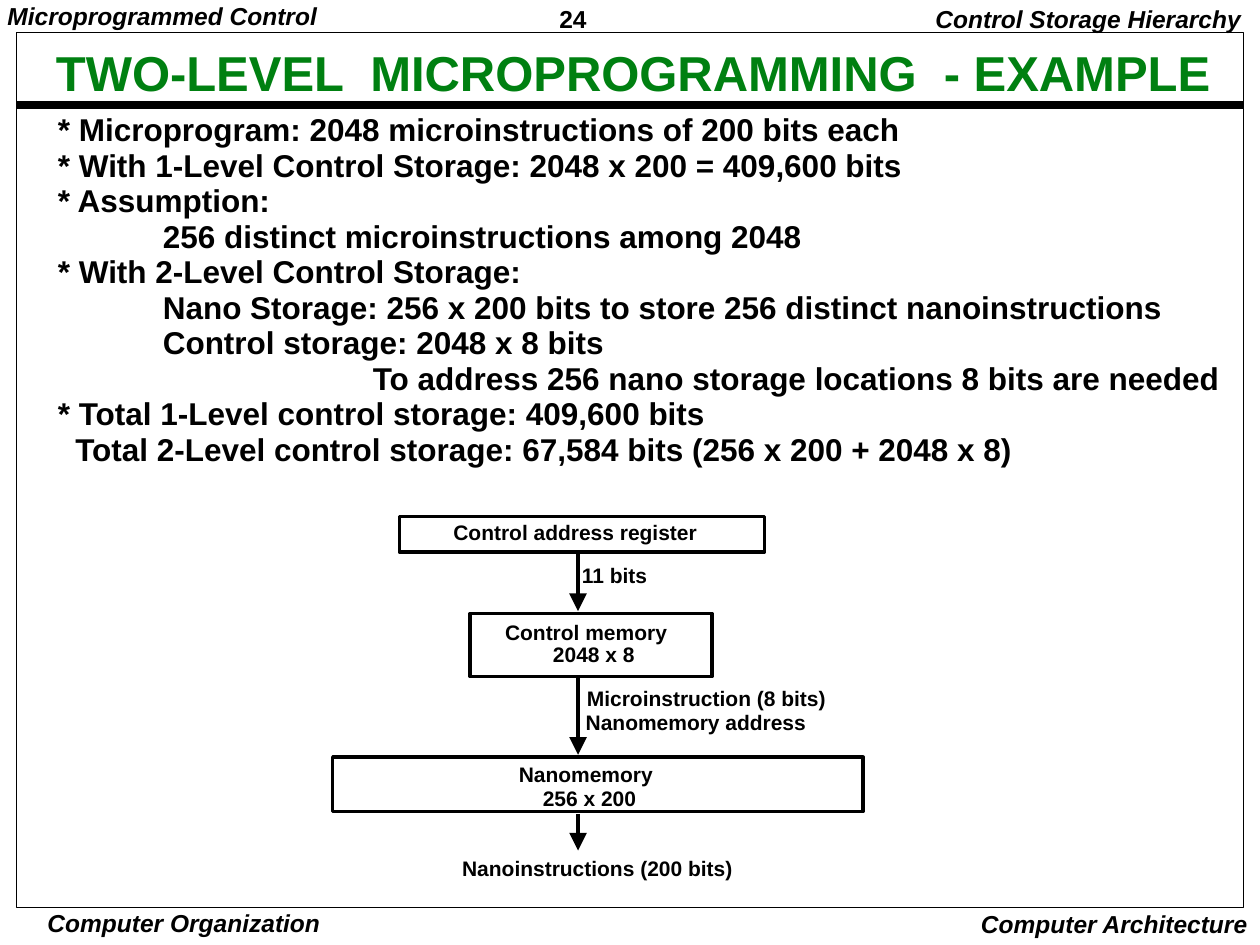
"""Build the two-level microprogramming example slide."""
from dataclasses import dataclass

import lxml.etree
import pptx
import pptx.dml.color
import pptx.enum.shapes
import pptx.enum.text
import pptx.oxml.ns
import pptx.shapes.connector
import pptx.slide
import pptx.text.text
import pptx.util

Pt = pptx.util.Pt
Align = pptx.enum.text.PP_ALIGN
Anchor = pptx.enum.text.MSO_ANCHOR


@dataclass(frozen=True)
class Theme:
    font: str = "Arial"
    ink: str = "000000"
    green: str = "008011"
    title: float = 28
    body: float = 18
    edge: float = 14
    label: float = 12
    rule: float = 4.5
    line: float = 2
    frame: float = 0.5
    pitch: float = 0.94


@dataclass(frozen=True)
class Box:
    left: float
    top: float
    width: float
    height: float


@dataclass(frozen=True)
class Label:
    text: str
    box: Box


@dataclass(frozen=True)
class Edge:
    text: str
    box: Box
    align: Align = Align.LEFT
    italic: bool = True
    pitch: float = 1.0
    inset: tuple[float, float] = (7.2, 3.6)


@dataclass(frozen=True)
class Arrow:
    top: float
    tip: float


THEME = Theme()
AXIS = 330.3
FRAME = Box(9.3, 18.8, 701.3, 499.6)
RULE = 59.8
TITLE = Label("TWO-LEVEL  MICROPROGRAMMING  - EXAMPLE", Box(21.6, 27.4, 680.4, 31))
BODY = Box(28.1, 62.6, 676.8, 198.7)
TAB = 60
POINTS = [
    ("* Microprogram: 2048 microinstructions of 200 bits each", 0),
    ("* With 1-Level Control Storage: 2048 x 200 = 409,600 bits", 0),
    ("* Assumption:", 0),
    ("256 distinct microinstructions among 2048", TAB),
    ("* With 2-Level Control Storage:", 0),
    ("Nano Storage: 256 x 200 bits to store 256 distinct nanoinstructions", TAB),
    ("Control storage: 2048 x 8 bits", TAB),
    ("To address 256 nano storage locations 8 bits are needed", 3 * TAB),
    ("* Total 1-Level control storage: 409,600 bits", 0),
    ("Total 2-Level control storage: 67,584 bits (256 x 200 + 2048 x 8)", 10),
]
EDGES = [
    Edge("Microprogrammed Control", Box(0, 0, 187.2, 19.4),
         pitch=THEME.pitch, inset=(4.3, 2.2)),
    Edge("24", Box(314.6, 0, 77.8, 20.9), italic=False, pitch=1.01, inset=(5, 2.2)),
    Edge("Control Storage Hierarchy", Box(527.8, 0, 188.6, 22.3),
         Align.RIGHT, pitch=THEME.pitch),
    Edge("Computer Organization", Box(25.2, 518.4, 159.8, 18.7),
         Align.CENTER, inset=(2.2, 0.7)),
    Edge("Computer Architecture", Box(553, 516.2, 167, 23.8), Align.RIGHT),
]
BLOCKS = [
    Box(228.2, 295.2, 208.8, 20.2),
    Box(268.6, 350.6, 138.2, 36),
    Box(190.1, 432.7, 303.1, 31),
]
ARROWS = [Arrow(315.4, 349.2), Arrow(386.6, 431.3), Arrow(465.1, 486)]
LABELS = [
    Label("Control address register", Box(252, 294.5, 153.4, 20.2)),
    Label("11 bits", Box(325.4, 319, 52.6, 20.2)),
    Label("Control memory", Box(281.5, 351.4, 107.3, 20.2)),
    Label("2048 x 8", Box(308.9, 364.3, 61.2, 20.2)),
    Label("Microinstruction (8 bits)", Box(328.3, 389.5, 151.2, 20.2)),
    Label("Nanomemory address", Box(327.6, 403.2, 140.4, 20.2)),
    Label("Nanomemory", Box(289.4, 432.7, 90.7, 20.2)),
    Label("256 x 200", Box(303.1, 446.4, 67.7, 20.2)),
    Label("Nanoinstructions (200 bits)", Box(257, 486.7, 169.2, 20.2)),
]


def area(box: Box) -> tuple[int, ...]:
    """Give the box as four lengths."""
    return tuple(Pt(n) for n in (box.left, box.top, box.width, box.height))


def color(code: str) -> pptx.dml.color.RGBColor:
    """Turn a hex code into a colour."""
    return pptx.dml.color.RGBColor.from_string(code)


def write(frame: pptx.text.text.TextFrame, lines: list[tuple[str, float]], *,
          size: float, ink: str = THEME.ink, italic: bool = False,
          align: Align = Align.LEFT, pitch: float = THEME.pitch,
          inset: tuple[float, float] = (7.2, 3.6), wrap: bool = False,
          anchor: Anchor = Anchor.TOP) -> None:
    """Fill a text frame with formatted, indented lines."""
    frame.auto_size = pptx.enum.text.MSO_AUTO_SIZE.NONE
    frame.word_wrap = wrap
    frame.vertical_anchor = anchor
    frame.margin_left = frame.margin_right = Pt(inset[0])
    frame.margin_top = frame.margin_bottom = Pt(inset[1])
    for num, (text, indent) in enumerate(lines):
        para = frame.add_paragraph() if num else frame.paragraphs[0]
        para.alignment = align
        para.line_spacing = pitch
        para.space_before = para.space_after = Pt(0)
        if indent:
            para._p.get_or_add_pPr().set("marL", str(Pt(indent)))
        run = para.add_run()
        run.text = text
        font = run.font
        font.name, font.size = THEME.font, Pt(size)
        font.bold, font.italic = True, italic
        font.color.rgb = color(ink)


def rect(slide: pptx.slide.Slide, box: Box, weight: float) -> None:
    """Draw an unfilled rectangle."""
    kind = pptx.enum.shapes.MSO_SHAPE.RECTANGLE
    shape = slide.shapes.add_shape(kind, *area(box))
    shape.shadow.inherit = False
    shape.fill.background()
    shape.line.color.rgb = color(THEME.ink)
    shape.line.width = Pt(weight)


def line(slide: pptx.slide.Slide, start: tuple[float, float],
         end: tuple[float, float], weight: float, head: bool = False) -> None:
    """Draw a straight line, with a head at its end if asked."""
    kind = pptx.enum.shapes.MSO_CONNECTOR.STRAIGHT
    link = slide.shapes.add_connector(kind, *(Pt(n) for n in start + end))
    link.line.color.rgb = color(THEME.ink)
    link.line.width = Pt(weight)
    name = pptx.oxml.ns.qn
    if head:
        lxml.etree.SubElement(link.line._get_or_add_ln(), name("a:tailEnd"),
                              type="triangle", w="lg", len="lg")
    lxml.etree.SubElement(link._element.spPr, name("a:effectLst"))


def main() -> None:
    """Draw and save the slide."""
    deck = pptx.Presentation()
    deck.slide_width, deck.slide_height = Pt(720), Pt(540)
    slide = deck.slides.add_slide(deck.slide_layouts[5])
    title = slide.shapes.title
    title.left, title.top, title.width, title.height = area(TITLE.box)
    write(title.text_frame, [(TITLE.text, 0)], size=THEME.title, ink=THEME.green,
          align=Align.CENTER, wrap=True, anchor=Anchor.MIDDLE)
    line(slide, (FRAME.left, RULE), (FRAME.left + FRAME.width, RULE), THEME.rule)
    rect(slide, FRAME, THEME.frame)
    for edge in EDGES:
        text = slide.shapes.add_textbox(*area(edge.box))
        write(text.text_frame, [(edge.text, 0)], size=THEME.edge, italic=edge.italic,
              align=edge.align, pitch=edge.pitch, inset=edge.inset)
    body = slide.shapes.add_textbox(*area(BODY))
    write(body.text_frame, POINTS, size=THEME.body, inset=(5, 2.2), wrap=True)
    for block in BLOCKS:
        rect(slide, block, THEME.line)
    for arrow in ARROWS:
        line(slide, (AXIS, arrow.top), (AXIS, arrow.tip), THEME.line, head=True)
    for label in LABELS:
        text = slide.shapes.add_textbox(*area(label.box))
        write(text.text_frame, [(label.text, 0)], size=THEME.label)
    deck.save("out.pptx")


if __name__ == "__main__":
    main()
